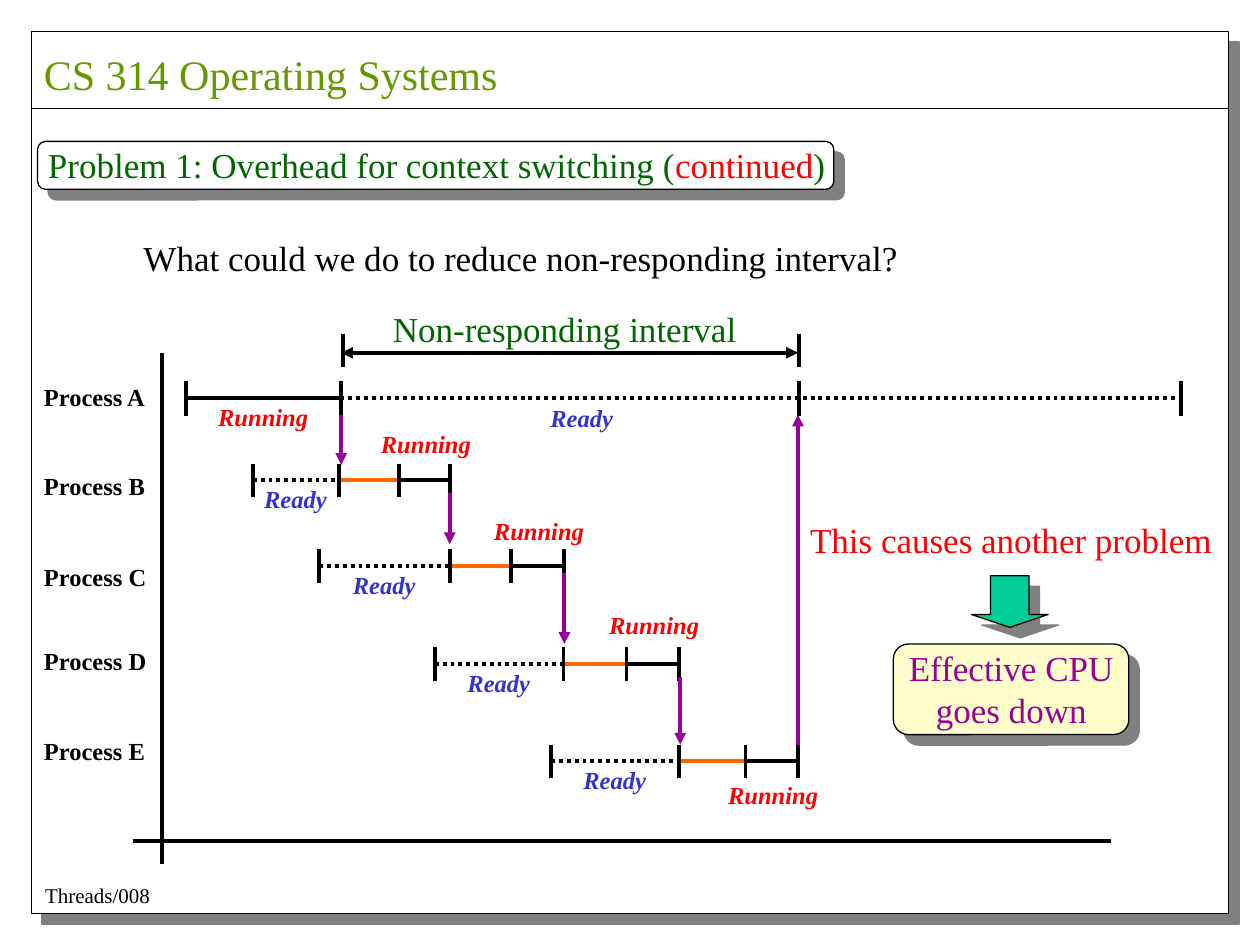
from lxml import etree
from pptx import Presentation
from pptx.dml.color import RGBColor
from pptx.enum.dml import MSO_LINE
from pptx.enum.shapes import MSO_CONNECTOR, MSO_SHAPE
from pptx.enum.text import MSO_ANCHOR, MSO_AUTO_SIZE, PP_ALIGN
from pptx.oxml.ns import qn
from pptx.util import Pt

STRAIGHT = MSO_CONNECTOR.STRAIGHT
DOTTED = MSO_LINE.ROUND_DOT
RECTANGLE = MSO_SHAPE.RECTANGLE
ROUNDED = MSO_SHAPE.ROUNDED_RECTANGLE
DOWN_ARROW = MSO_SHAPE.DOWN_ARROW
TOP = MSO_ANCHOR.TOP
NO_AUTOFIT = MSO_AUTO_SIZE.NONE
LEFT, CENTER = PP_ALIGN.LEFT, PP_ALIGN.CENTER

FONT = "Times New Roman"
COLORS = {
    "black": "000000", "white": "FFFFFF", "shadow": "808080",
    "olive": "669900", "green": "006600", "red": "FF0000",
    "blue": "3333CC", "orange": "FF6600", "purple": "990099",
    "cream": "FFFFCC", "teal": "00CC99",
}
TITLE_ONLY = 5
TICK = 9.5          # half the height of an interval mark
LABEL_HEIGHT = 24.5

# Waiting processes: axis height, ready, switching, running, end, label offset
LANES = [
    (274.5, 144.5, 193.7, 228.2, 257, -33),
    (323.5, 182.5, 257, 292, 322.5, -32),
    (379.5, 248.5, 322, 358, 388, -34.5),
    (435, 315, 388, 426, 456, 7),
]
# Handing over the processor: x, start, end
HANDOVERS = [
    (195, 237, 265.7), (257, 282, 311), (322.5, 327.6, 368),
    (388.7, 386.6, 425.5), (456, 425.5, 237),
]
PROCESS_LABELS = [("A", 214.5), ("B", 265.7), ("C", 317.5), ("D", 365.8), ("E", 417)]


def rgb(name):
    return RGBColor.from_string(COLORS[name])


def write_text(text_frame, *paragraphs, size=20, color="black", bold=False,
               italic=False, align=LEFT):
    """Write paragraphs, each a string or a list of (text, color) runs."""
    text_frame.word_wrap = False
    text_frame.auto_size = NO_AUTOFIT
    text_frame.vertical_anchor = TOP
    for index, content in enumerate(paragraphs):
        paragraph = text_frame.add_paragraph() if index else text_frame.paragraphs[0]
        paragraph.alignment = align
        runs = [(content, color)] if isinstance(content, str) else content
        for text, run_color in runs:
            run = paragraph.add_run()
            run.text = text
            run.font.name = FONT
            run.font.size = Pt(size)
            run.font.bold = bold
            run.font.italic = italic
            run.font.color.rgb = rgb(run_color)


class SlideBuilder:
    def __init__(self, slide, line_width=2.25, outline=0.75):
        self.slide = slide
        self.shapes = slide.shapes
        self.line_width = line_width
        self.outline = outline

    def title(self, left, top, width, height, *paragraphs, **style):
        title = self.shapes.title
        title.left, title.top = Pt(left), Pt(top)
        title.width, title.height = Pt(width), Pt(height)
        write_text(title.text_frame, *paragraphs, **style)
        # Bring the title in front of its box
        self.shapes._spTree.append(title._element)

    def text(self, left, top, width, height, *paragraphs, **style):
        box = self.shapes.add_textbox(Pt(left), Pt(top), Pt(width), Pt(height))
        write_text(box.text_frame, *paragraphs, **style)

    def state(self, text, center, top):
        color, width = {"Running": ("red", 65.5), "Ready": ("blue", 50.4)}[text]
        self.text(center - width / 2, top, width, LABEL_HEIGHT, text,
                  size=14, color=color, bold=True, italic=True)

    def panel(self, kind, left, top, width, height, fill, adjustments=()):
        shape = self.shapes.add_shape(kind, Pt(left), Pt(top), Pt(width), Pt(height))
        for index, value in enumerate(adjustments):
            shape.adjustments[index] = value
        shape.fill.solid()
        shape.fill.fore_color.rgb = rgb(fill)
        shape.line.color.rgb = rgb("black")
        shape.line.width = Pt(self.outline)
        shape.shadow.inherit = False
        effects = shape._element.spPr.find(qn("a:effectLst"))
        shadow = etree.SubElement(effects, qn("a:outerShdw"), dist=str(Pt(8.5)),
                                  dir="2700000", algn="ctr", rotWithShape="0")
        etree.SubElement(shadow, qn("a:srgbClr"), val=COLORS["shadow"])

    def line(self, x1, y1, x2, y2, color="black", width=None, dash=None, arrows=()):
        connector = self.shapes.add_connector(STRAIGHT, Pt(x1), Pt(y1), Pt(x2), Pt(y2))
        connector.line.color.rgb = rgb(color)
        connector.line.width = Pt(width or self.line_width)
        if dash is not None:
            connector.line.dash_style = dash
        properties = connector._element.spPr
        for end in arrows:
            etree.SubElement(properties.find(qn("a:ln")), qn(f"a:{end}"), type="triangle")
        etree.SubElement(properties, qn("a:effectLst"))

    def ticks(self, y, *positions, reach=TICK):
        for x in positions:
            self.line(x, y - reach, x, y + reach)


def main():
    presentation = Presentation()
    presentation.slide_width, presentation.slide_height = Pt(720), Pt(540)
    slide = presentation.slides.add_slide(presentation.slide_layouts[TITLE_ONLY])
    builder = SlideBuilder(slide)

    # Page frame, course name and page mark
    builder.panel(RECTANGLE, 18, 18, 684, 504, "white")
    builder.line(18, 62, 702, 62, width=builder.outline)
    builder.text(18, 24, 274, 36, "CS 314 Operating Systems", size=24, color="olive")
    builder.text(18.7, 500.5, 74, 21.8, "Threads/008", size=12)

    # Title and question
    builder.panel(ROUNDED, 21.5, 80.8, 455, 27.4, "white", [0.167])
    builder.title(20.2, 78.5, 458.6, 31.5, [
        ("Problem 1: Overhead for context switching (", "green"),
        ("continued", "red"), (")", "green")])
    builder.text(74.9, 131.4, 445.7, 31.5,
                 "What could we do to reduce non-responding interval?")

    # Axes and process names
    builder.line(92.7, 202, 92.7, 494)
    builder.line(76, 480.8, 635, 480.8)
    for letter, top in PROCESS_LABELS:
        builder.text(18, top, 73, LABEL_HEIGHT, f"Process {letter}", size=14, bold=True)

    # Process A
    axis = 227.5
    builder.line(194.5, axis, 675, axis, dash=DOTTED)
    builder.line(107, axis, 194.5, axis)
    builder.ticks(axis, 106.5, 194.7, 456.5, 675, reach=10)
    builder.state("Running", 150.3, axis - 1.5)
    builder.state("Ready", 332.6, axis - 1)

    # Processes B to E
    for axis, ready, switching, running, end, label_offset in LANES:
        builder.line(ready, axis, switching, axis, dash=DOTTED)
        builder.line(switching, axis, running, axis, color="orange")
        builder.line(running, axis, end, axis)
        builder.ticks(axis, ready, switching, running, end)
        builder.state("Ready", (ready + switching) / 2, axis - 1.5)
        builder.state("Running", (running + end) / 2 + 0.7, axis + label_offset)

    # Handovers between processes
    for x, start, end in HANDOVERS:
        builder.line(x, start, x, end, color="purple", arrows=["tailEnd"])

    # Non-responding interval
    builder.line(195, 201.6, 456, 201.6, arrows=["headEnd", "tailEnd"])
    builder.ticks(200.2, 195.8, 456.8)
    builder.text(217.4, 172, 211, 31.5, "Non-responding interval", color="green")

    # Consequence
    builder.text(455.8, 293, 244, 31.5, "This causes another problem", color="red")
    builder.panel(DOWN_ARROW, 555, 329, 44, 29.5, "teal", [0.5, 0.25])
    builder.panel(ROUNDED, 510.5, 368, 134.6, 51.8, "cream", [0.167])
    builder.text(512, 365.8, 131.8, 55.4, "Effective CPU", "goes down",
                 color="purple", align=CENTER)

    presentation.save("out.pptx")


if __name__ == "__main__":
    main()
